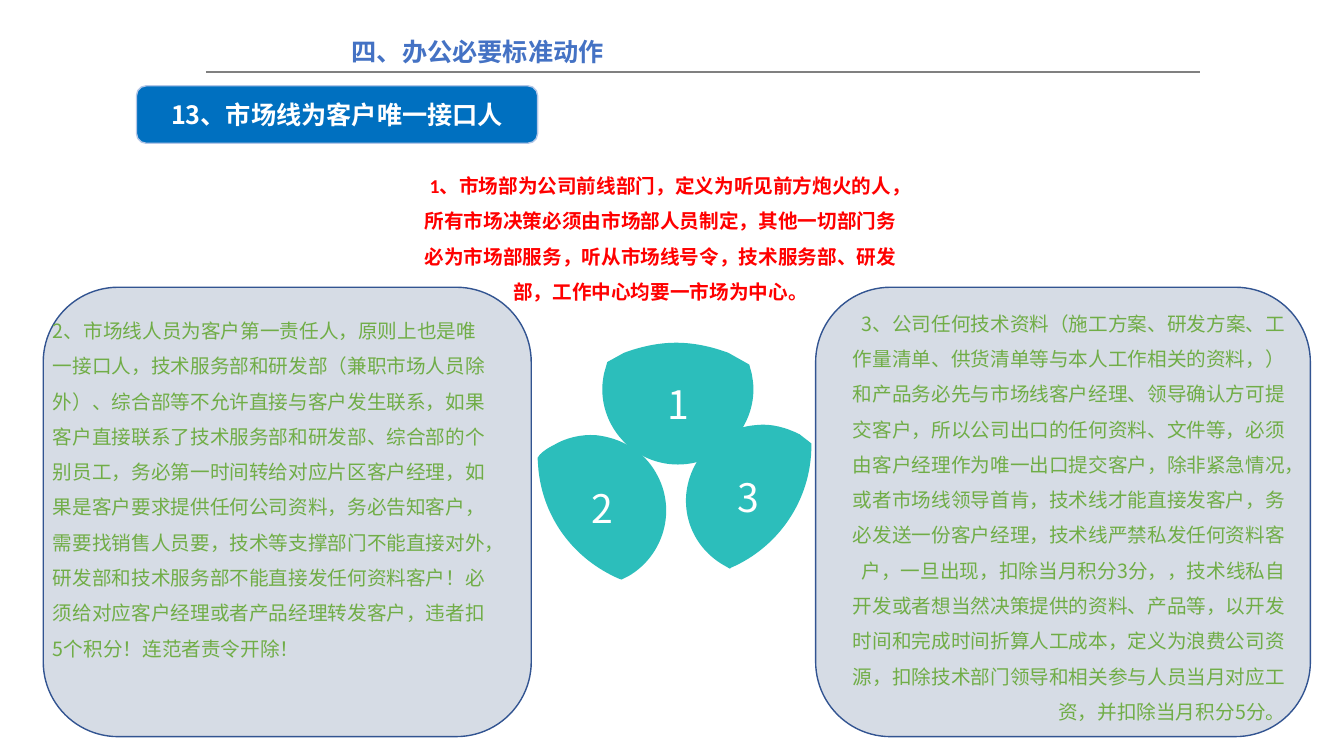
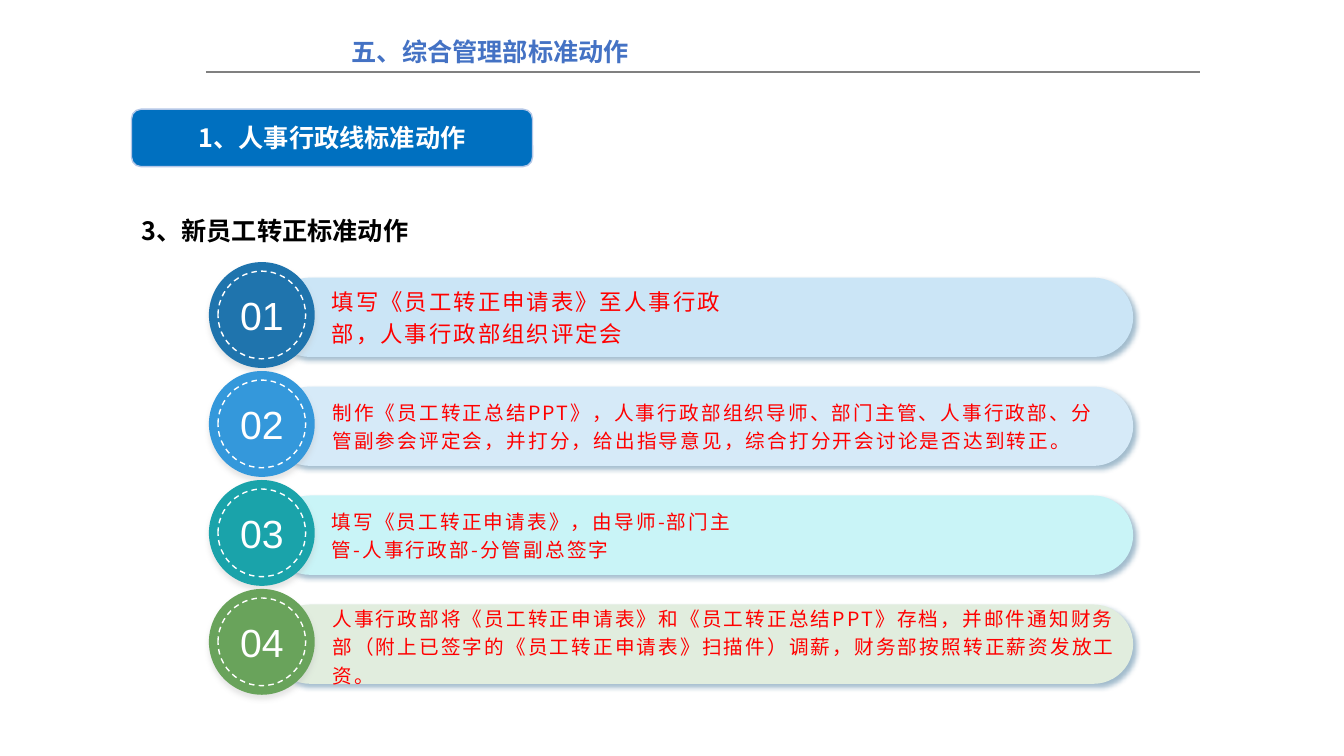
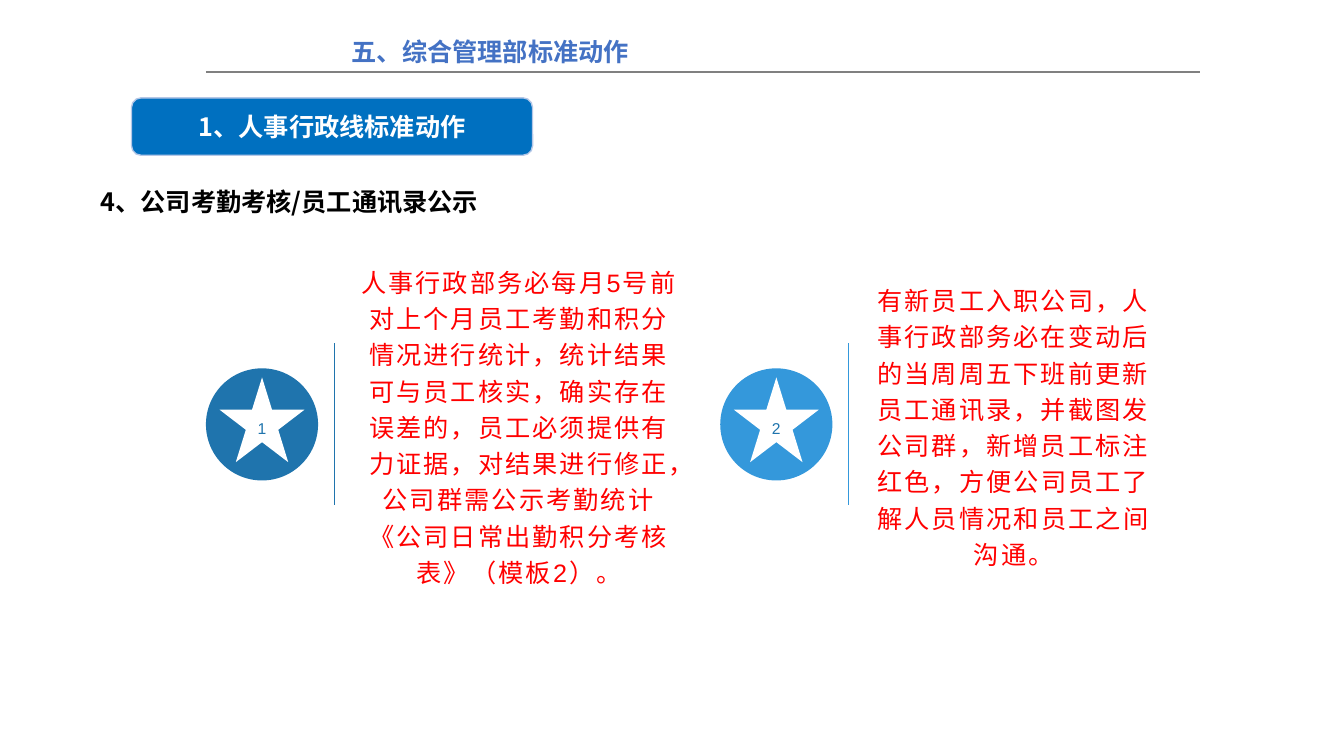
import lxml.etree
import pptx
import pptx.dml.color
import pptx.enum.dml
import pptx.enum.shapes
import pptx.enum.text
import pptx.oxml.ns
import pptx.util

SHAPES = pptx.enum.shapes.MSO_SHAPE
ALIGN = pptx.enum.text.PP_ALIGN
color = pptx.dml.color.RGBColor.from_string
qn = pptx.oxml.ns.qn

HAN_FONT = "Noto Sans CJK SC"
WHITE, BLACK, RED, GREEN = "FFFFFF", "000000", "FF0000", "70AD47"
TITLE_BLUE, BADGE_BLUE, BADGE_EDGE = "4472C4", "0070C0", "B4C7E7"
DEEP_BLUE, SKY_BLUE, TEAL = "1F74AD", "3498DB", "2CBEBB"

presentation = pptx.Presentation()
presentation.slide_width = pptx.util.Emu(12192000)
presentation.slide_height = pptx.util.Emu(6858000)
# Grid of square cells: 160 columns by 90 rows
CELL = presentation.slide_height / 90


def add_shape(slide, kind, left, top, width, height, fill=None, line=None, shadow=None):
    """Place a preset shape, or a text box when kind is None; shadow is (color, angle)."""
    box = [round(value * CELL) for value in (left, top, width, height)]
    if kind is None:
        return slide.shapes.add_textbox(*box)
    shape = slide.shapes.add_shape(kind, *box)
    shape.shadow.inherit = False
    if fill:
        shape.fill.solid()
        shape.fill.fore_color.rgb = color(fill)
    else:
        shape.fill.background()
    if line:
        shape.line.color.rgb = color(line)
        shape.line.width = pptx.util.Pt(1)
    else:
        shape.line.fill.background()
    if shadow:
        tint, angle = shadow
        effects = shape._element.spPr.find(qn("a:effectLst"))
        outer = lxml.etree.SubElement(
            effects, qn("a:outerShdw"), blurRad=str(pptx.util.Pt(4)),
            dist=str(pptx.util.Pt(3)), dir=str(angle * 60000), algn="ctr", rotWithShape="0")
        tone = lxml.etree.SubElement(outer, qn("a:srgbClr"), val=tint)
        lxml.etree.SubElement(tone, qn("a:alpha"), val="40000")
    return shape


def write(shape, text, size, tint, font=HAN_FONT, bold=False, align=ALIGN.LEFT,
          line_spacing=None, tracking=0, wrap=True):
    """Fill a shape with one vertically centred paragraph."""
    frame = shape.text_frame
    frame.word_wrap = wrap
    frame.vertical_anchor = pptx.enum.text.MSO_ANCHOR.MIDDLE
    paragraph = frame.paragraphs[0]
    paragraph.text = text
    paragraph.alignment = align
    paragraph.line_spacing = line_spacing
    paragraph.font.size = pptx.util.Pt(size)
    paragraph.font.bold = bold
    paragraph.font.color.rgb = color(tint)
    paragraph.font.name = font
    properties = paragraph.font._element
    lxml.etree.SubElement(properties, qn("a:ea"), typeface=HAN_FONT)
    if tracking:
        properties.set("spc", str(round(tracking * 100)))


# Shared heads: title, badge text with its place, subheading with its place
heads = [
    ("四、办公必要标准动作", 32.4, "13、市场线为客户唯一接口人", 16.25, 10.22, None),
    ("五、综合管理部标准动作", 35.4, "1、人事行政线标准动作", 15.65, 13,
     ("3、新员工转正标准动作", 15.65, 25.05)),
    ("五、综合管理部标准动作", 35.4, "1、人事行政线标准动作", 15.65, 11.65,
     ("4、公司考勤考核/员工通讯录公示", 10.8, 21.6)),
]
slides = []
rules = []  # slide, start column, start row, end column, end row, color, points
for title, title_width, badge_text, badge_left, badge_top, subheading in heads:
    slide = presentation.slides.add_slide(presentation.slide_layouts[6])
    slides.append(slide)
    rules.append((slide, 24.5, 8.55, 142.8, 8.55, "808080", 1.5))
    write(add_shape(slide, None, 40.68, 3.7, title_width, 4.8), title, 18, TITLE_BLUE,
          bold=True, wrap=False)
    badge = add_shape(slide, SHAPES.ROUNDED_RECTANGLE, badge_left, badge_top, 47.75, 6.84,
                      BADGE_BLUE, BADGE_EDGE)
    write(badge, badge_text, 18, WHITE, bold=True, align=ALIGN.CENTER)
    if subheading:
        text, left, top = subheading
        write(add_shape(slide, None, left, top, 66.7, 4.8), text, 18, BLACK, bold=True)
contact_slide, probation_slide, attendance_slide = slides

# Single point of contact: two panels, three petals, three texts
for left, width in ((5.15, 58.1), (97.1, 58.9)):
    add_shape(contact_slide, SHAPES.ROUNDED_RECTANGLE, left, 34.2, width, 53.5,
              "D6DCE5", "325491")

# Number, box, start point, then line ends (one point) or curves (three points)
petals = [
    ("2", (64, 51.8, 15.4, 17.2), (70.9, 51.8), [
        [(73.8, 52.1), (76.6, 53.6), (78.1, 56.3)],
        [(80.6, 60.6), (79.1, 66.1), (74.8, 68.6)],
        [(74, 69)], [(73.7, 68.9)],
        [(68.4, 66.6), (64.7, 61.8), (64.1, 55.9)],
        [(64, 54.5)], [(64.3, 54.1)],
        [(64.8, 53.6), (65.3, 53.3), (65.9, 53)],
        [(67.4, 52.1), (69.2, 51.7), (70.9, 51.8)]]),
    ("3", (81.7, 50.5, 14.9, 17.2), (90.1, 50.6), [
        [(91.8, 50.4), (93.6, 50.9), (95.2, 51.7)],
        [(96.6, 52.8)], [(96.6, 53)],
        [(96.6, 59.6), (92.6, 65.2), (87, 67.6)],
        [(86.9, 67.7)], [(86.2, 67.3)],
        [(81.8, 64.8), (80.4, 59.4), (82.9, 55.1)],
        [(84.5, 52.3), (87.2, 50.8), (90.1, 50.6)]]),
    ("1", (71.7, 40.8, 18, 14.5), (80.5, 40.8), [
        [(82.7, 40.8), (84.8, 41.3), (86.7, 42)],
        [(89.2, 43.4)], [(89.5, 44.5)],
        [(89.6, 45.1), (89.7, 45.7), (89.7, 46.3)],
        [(89.7, 51.2), (85.7, 55.3), (80.7, 55.3)],
        [(75.7, 55.3), (71.7, 51.2), (71.7, 46.3)],
        [(71.7, 45.7), (71.8, 45.1), (71.9, 44.5)],
        [(72.3, 43.1)], [(74.3, 42)],
        [(76.2, 41.3), (78.3, 40.8), (80.5, 40.8)]]),
]
for number, box, start, segments in petals:
    ends = [(x * CELL, y * CELL) for x, y in [start, *(segment[-1] for segment in segments)]]
    builder = contact_slide.shapes.build_freeform(*ends[0])
    builder.add_line_segments(ends[1:], close=True)
    petal = builder.convert_to_shape()
    petal.left, petal.top, petal.width, petal.height = [round(value * CELL) for value in box]
    # Bend the outline: rewrite its segments as curves within the box
    outline = petal._element.spPr.find(".//" + qn("a:path"))
    outline.set("w", str(petal.width))
    outline.set("h", str(petal.height))
    for part in list(outline):
        outline.remove(part)
    for segment in [[start], *segments]:
        kind = "a:cubicBezTo" if len(segment) == 3 else "a:lnTo"
        part = lxml.etree.SubElement(outline, qn(kind if len(outline) else "a:moveTo"))
        for x, y in segment:
            lxml.etree.SubElement(part, qn("a:pt"), x=str(round((x - box[0]) * CELL)),
                                  y=str(round((y - box[1]) * CELL)))
    lxml.etree.SubElement(outline, qn("a:close"))
    petal.shadow.inherit = False
    petal.fill.solid()
    petal.fill.fore_color.rgb = color(TEAL)
    petal.line.fill.background()
    write(petal, number, 28, WHITE, align=ALIGN.CENTER)

contact_texts = [
    ("1、市场部为公司前线部门，定义为听见前方炮火的人，所有市场决策必须由市场部人员制定，"
     "其他一切部门务必为市场部服务，听从市场线号令，技术服务部、研发部，工作中心均要一市场为中心。",
     (49.15, 19.5, 59, 16.44), RED, "Calibri", True, ALIGN.CENTER),
    ("2、市场线人员为客户第一责任人，原则上也是唯一接口人，技术服务部和研发部（兼职市场人员除外）、"
     "综合部等不允许直接与客户发生联系，如果客户直接联系了技术服务部和研发部、综合部的个别员工，"
     "务必第一时间转给对应片区客户经理，如果是客户要求提供任何公司资料，务必告知客户，"
     "需要找销售人员要，技术等支撑部门不能直接对外，研发部和技术服务部不能直接发任何资料客户！"
     "必须给对应客户经理或者产品经理转发客户，违者扣5个积分！连范者责令开除！",
     (5.12, 35.97, 54.8, 43.2), GREEN, HAN_FONT, False, ALIGN.LEFT),
    ("3、公司任何技术资料（施工方案、研发方案、工作量清单、供货清单等与本人工作相关的资料，）"
     "和产品务必先与市场线客户经理、领导确认方可提交客户，所以公司出口的任何资料、文件等，"
     "必须由客户经理作为唯一出口提交客户，除非紧急情况，或者市场线领导首肯，技术线才能直接发客户，"
     "务必发送一份客户经理，技术线严禁私发任何资料客户，一旦出现，扣除当月积分3分，，"
     "技术线私自开发或者想当然决策提供的资料、产品等，以开发时间和完成时间折算人工成本，"
     "定义为浪费公司资源，扣除技术部门领导和相关参与人员当月对应工资，并扣除当月积分5分。",
     (100.2, 45.6, 54, 30.6), GREEN, HAN_FONT, False, ALIGN.RIGHT),
]
for text, box, tint, font, bold, align in contact_texts:
    write(add_shape(contact_slide, None, *box), text, 14, tint, font, bold, align, 1.5)

# Probation: four numbered bars at an equal pitch
STEP_PITCH = 12.97
steps = [
    (DEEP_BLUE, "CBE5F6", 16, (38.3, 51.5, 5.9),
     "填写《员工转正申请表》至人事行政部，人事行政部组织评定会"),
    (SKY_BLUE, "D6EAF8", 14, (38.4, 94.7, 5.9),
     "制作《员工转正总结PPT》，人事行政部组织导师、部门主管、人事行政部、分管副参会评定会，"
     "并打分，给出指导意见，综合打分开会讨论是否达到转正。"),
    ("1AA3AA", "C9F4F7", 14, (38.3, 51.5, 5.9),
     "填写《员工转正申请表》，由导师-部门主管-人事行政部-分管副总签字"),
    ("69A35B", "E1EDDE", 14, (38.4, 96.5, 6.6),
     "人事行政部将《员工转正申请表》和《员工转正总结PPT》存档，并邮件通知财务部"
     "（附上已签字的《员工转正申请表》扫描件）调薪，财务部按照转正薪资发放工资。"),
]
for index, (disc_fill, bar_fill, size, text_place, text) in enumerate(steps):
    top = 31.2 + index * STEP_PITCH
    bar = add_shape(probation_slide, SHAPES.ROUNDED_RECTANGLE, 32.2, top + 1.85, 102.7, 9.45,
                    bar_fill, shadow=("175782", 45))
    bar.adjustments[0] = 0.5
    add_shape(probation_slide, SHAPES.OVAL, 24.87, top, 12.6, 12.6, disc_fill,
              shadow=("BFBFBF", 90))
    ring = add_shape(probation_slide, SHAPES.OVAL, 25.95, top + 1.08, 10.44, 10.44, line=WHITE)
    ring.line.dash_style = pptx.enum.dml.MSO_LINE.DASH
    frame = ring.text_frame
    frame.margin_left = frame.margin_right = frame.margin_top = frame.margin_bottom = 0
    write(ring, f"{index + 1:02}", 28, WHITE, "Arial", align=ALIGN.CENTER)
    text_left, text_width, text_height = text_place
    write(add_shape(probation_slide, None, text_left, top + 3.35, text_width, text_height),
          text, size, RED, line_spacing=1.2, tracking=1.5)

# Attendance: two starred discs, each with a divider and a text
DUTY_PITCH = 61.23
duties = [
    (DEEP_BLUE, 41.3,
     "人事行政部务必每月5号前对上个月员工考勤和积分情况进行统计，统计结果可与员工核实，"
     "确实存在误差的，员工必须提供有力证据，对结果进行修正，公司群需公示考勤统计"
     "《公司日常出勤积分考核表》（模板2）。"),
    (SKY_BLUE, 36.6,
     "有新员工入职公司，人事行政部务必在变动后的当周周五下班前更新员工通讯录，并截图发公司群，"
     "新增员工标注红色，方便公司员工了解人员情况和员工之间沟通。"),
]
for index, (disc_fill, text_width, text) in enumerate(duties):
    left = 24.52 + index * DUTY_PITCH
    add_shape(attendance_slide, SHAPES.OVAL, left, 43.85, 13.35, 13.35, disc_fill)
    star = add_shape(attendance_slide, SHAPES.STAR_5_POINT, left + 1.63, 44.93, 10.1, 10.1,
                     WHITE)
    write(star, str(index + 1), 11.2, DEEP_BLUE, "Arial", align=ALIGN.CENTER,
          line_spacing=1.2, tracking=1.5)
    rules.append((attendance_slide, left + 15.29, 40.88, left + 15.29, 60.1, disc_fill, 0.5))
    write(add_shape(attendance_slide, None, left + 16.65, 42.05, text_width, 16.92), text, 18,
          RED, "Arial", align=ALIGN.CENTER, line_spacing=1.2, tracking=1.5)

for slide, *ends, tint, points in rules:
    rule = slide.shapes.add_connector(
        pptx.enum.shapes.MSO_CONNECTOR.STRAIGHT, *[round(end * CELL) for end in ends])
    rule.line.color.rgb = color(tint)
    rule.line.width = pptx.util.Pt(points)
    lxml.etree.SubElement(rule._element.spPr, qn("a:effectLst"))

presentation.save("out.pptx")
